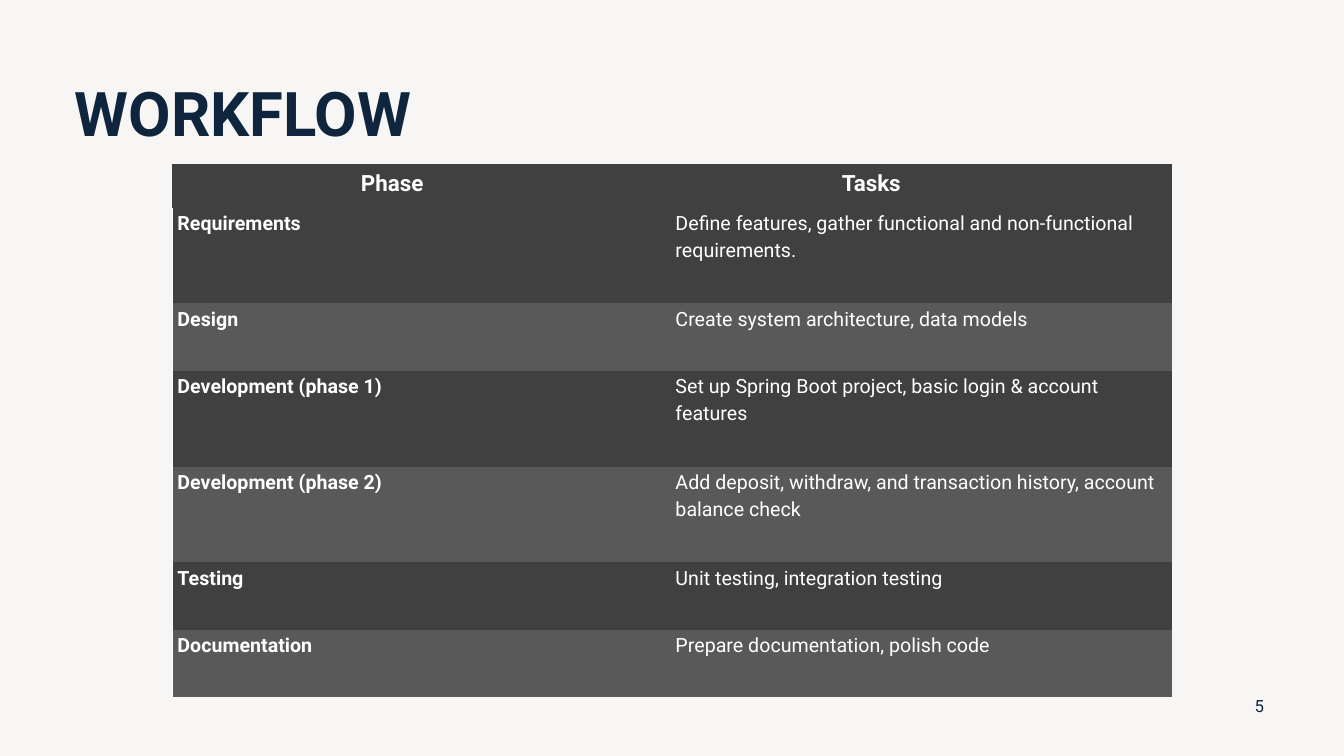
from dataclasses import dataclass

from lxml import etree
from pptx import Presentation
from pptx import util as u
from pptx.dml.color import RGBColor
from pptx.enum import text as t
from pptx.oxml.ns import qn

COLORS = {
    "background": "F8F6F5",
    "navy": "0F253E",
    "white": "FFFFFF",
    "dark": "404040",
    "light": "595959",
}
FONT = "Roboto"
PLAIN_STYLE = "{2D5ABB26-0587-4C30-8999-92F81FD0307C}"  # no style, no grid
COLUMN_WIDTHS = (4.94, 4.97)
HEADER_HEIGHT = 0.43


@dataclass(frozen=True)
class Header:
    label: str
    inset: float


@dataclass(frozen=True)
class Phase:
    name: str
    tasks: str
    height: float


HEADERS = (Header("Phase", 1.87), Header("Tasks", 1.7))
PHASES = (
    Phase("Requirements", "Define features, gather functional and non-functional requirements.", 0.95),
    Phase("Design", "Create system architecture, data models", 0.67),
    Phase("Development (phase 1)", "Set up Spring Boot project, basic login & account features", 0.95),
    Phase("Development (phase 2)", "Add deposit, withdraw, and transaction history, account balance check", 0.95),
    Phase("Testing", "Unit testing, integration testing", 0.67),
    Phase("Documentation", "Prepare documentation, polish code", 0.67),
)


def rgb(name: str) -> RGBColor:
    return RGBColor.from_string(COLORS[name])


def add_span(para, wording: str, size: float, color: str, bold: bool = False) -> None:
    span = para.add_run()
    span.text = wording
    span.font.name = FONT
    span.font.size = u.Pt(size)
    span.font.bold = bold
    span.font.color.rgb = rgb(color)


def fill_cell(cell, wording: str, size: float, fill: str, bold: bool, inset: float = 0.05) -> None:
    cell.margin_left, cell.margin_top = u.Inches(inset), u.Inches(0.01)
    cell.margin_right, cell.margin_bottom = u.Inches(0.06), u.Inches(0.11)
    cell.fill.solid()
    cell.fill.fore_color.rgb = rgb(fill)
    para = cell.text_frame.paragraphs[0]
    para.line_spacing = 1.15
    para.space_after = u.Pt(8)
    add_span(para, wording, size, "white", bold)


def add_left_border(cell) -> None:
    properties = cell._tc.get_or_add_tcPr()
    line = etree.Element(qn("a:lnL"), w=str(u.Pt(1)))
    solid = etree.SubElement(line, qn("a:solidFill"))
    etree.SubElement(solid, qn("a:srgbClr"), val=COLORS["white"])
    properties.insert(0, line)


def add_title(page) -> None:
    box = page.shapes.title
    box.left, box.top = u.Inches(0.64), u.Inches(0.55)
    box.width, box.height = u.Inches(11.5), u.Inches(1.22)
    frame = box.text_frame
    frame.auto_size = t.MSO_AUTO_SIZE.NONE
    frame.vertical_anchor = t.MSO_ANCHOR.MIDDLE
    para = frame.paragraphs[0]
    para.alignment = t.PP_ALIGN.LEFT
    para.line_spacing = 0.9
    add_span(para, "WORKFLOW", 44, "navy", True)


def add_page_number(page) -> None:
    box = page.shapes.add_textbox(u.Inches(12.24), u.Inches(6.8), u.Inches(0.5), u.Inches(0.4))
    frame = box.text_frame
    frame.word_wrap = True
    frame.vertical_anchor = t.MSO_ANCHOR.MIDDLE
    para = frame.paragraphs[0]
    para.alignment = t.PP_ALIGN.CENTER
    para.space_after = u.Pt(6)
    add_span(para, "5", 12, "navy")


def add_workflow_table(page) -> None:
    heights = (HEADER_HEIGHT, *(phase.height for phase in PHASES))
    holder = page.shapes.add_table(
        len(heights), len(COLUMN_WIDTHS), u.Inches(1.71), u.Inches(1.63),
        u.Inches(sum(COLUMN_WIDTHS)), u.Inches(sum(heights)))
    next(holder.element.iter(qn("a:tableStyleId"))).text = PLAIN_STYLE
    table = holder.table
    table.horz_banding = False
    for column, width in zip(table.columns, COLUMN_WIDTHS):
        column.width = u.Inches(width)
    for row, height in zip(table.rows, heights):
        row.height = u.Inches(height)

    # Header row
    for index, header in enumerate(HEADERS):
        cell = table.cell(0, index)
        cell.vertical_anchor = t.MSO_ANCHOR.BOTTOM
        fill_cell(cell, header.label, 16, "dark", True, header.inset)

    # One row per phase, in alternating shades
    for index, phase in enumerate(PHASES):
        fill = ("dark", "light")[index % 2]
        name_cell, tasks_cell = table.rows[index + 1].cells
        fill_cell(name_cell, phase.name, 14, fill, True)
        add_left_border(name_cell)
        fill_cell(tasks_cell, phase.tasks, 14, fill, False)


def main() -> None:
    deck = Presentation()
    deck.slide_width, deck.slide_height = u.Inches(13.33), u.Inches(7.5)
    page = deck.slides.add_slide(deck.slide_layouts[5])
    page.background.fill.solid()
    page.background.fill.fore_color.rgb = rgb("background")
    add_title(page)
    add_page_number(page)
    add_workflow_table(page)
    deck.save("out.pptx")


if __name__ == "__main__":
    main()
